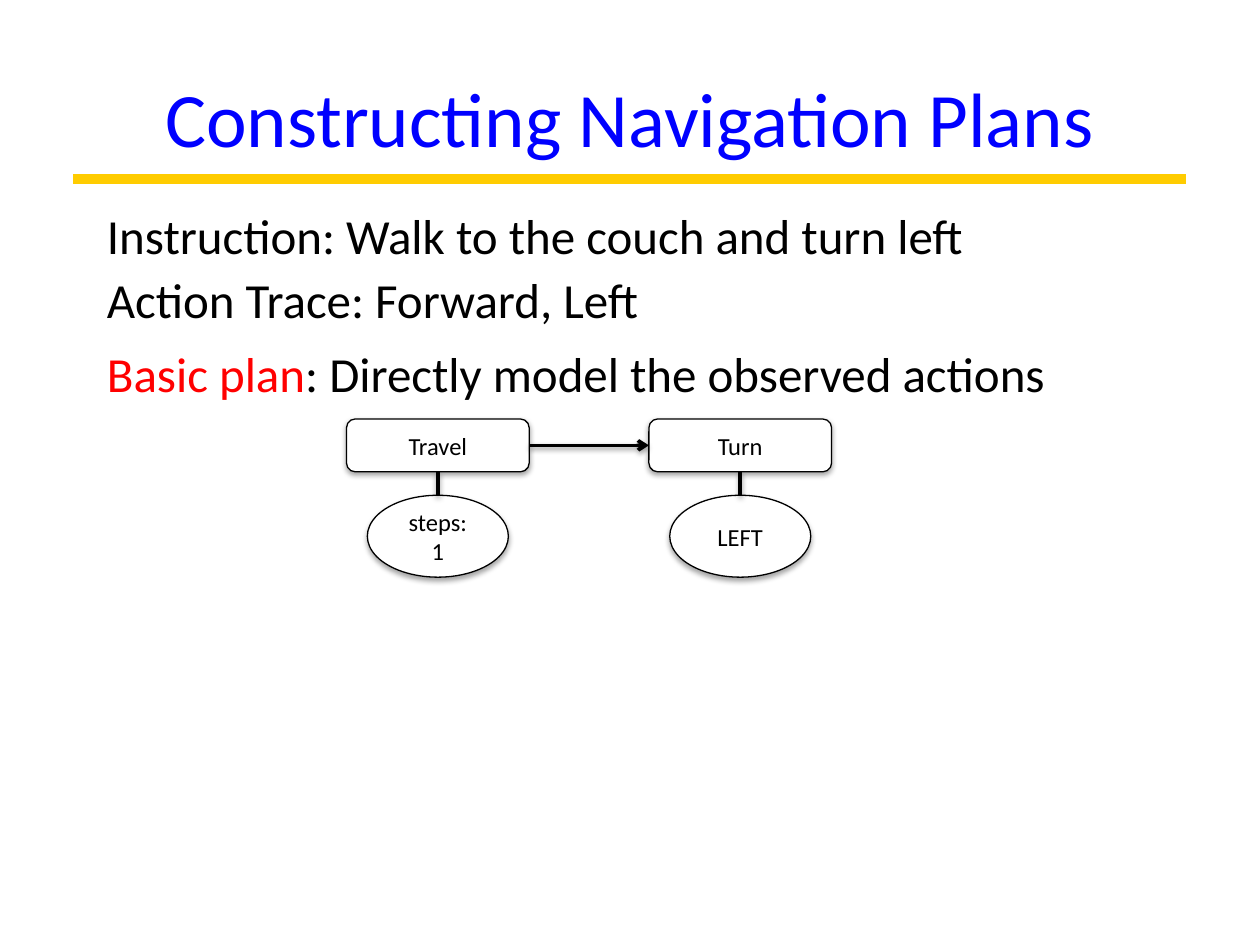
from lxml.etree import SubElement
from pptx import Presentation
from pptx.dml.color import RGBColor
from pptx.enum.shapes import MSO_CONNECTOR, MSO_SHAPE
from pptx.enum.text import MSO_ANCHOR, PP_ALIGN
from pptx.oxml.ns import qn
from pptx.util import Pt

BLACK = RGBColor(0, 0, 0)
WHITE = RGBColor(255, 255, 255)
BLUE = RGBColor(0, 0, 255)
RED = RGBColor(255, 0, 0)
GOLD = RGBColor(255, 204, 0)


def add_text(frame, runs, size, align, anchor):
    frame.word_wrap = True
    frame.vertical_anchor = anchor
    paragraph = frame.paragraphs[0]
    paragraph.alignment = align
    for words, color in runs:
        run = paragraph.add_run()
        run.text = words
        run.font.name = "Calibri"
        run.font.size = Pt(size)
        run.font.color.rgb = color


def add_shadow(effects, distance, opacity):
    shadow = SubElement(effects, qn("a:outerShdw"), blurRad=str(Pt(3.1)),
                        dist=str(Pt(distance)), dir="5400000", rotWithShape="0")
    color = SubElement(shadow, qn("a:srgbClr"), val=str(BLACK))
    SubElement(color, qn("a:alpha"), val=str(opacity * 1000))


prs = Presentation()
prs.slide_width = Pt(720)
prs.slide_height = Pt(540)
slide = prs.slides.add_slide(prs.slide_layouts[6])
shapes = slide.shapes

title = shapes.add_textbox(Pt(36), Pt(21.6), Pt(648), Pt(90))
add_text(title.text_frame, [("Constructing Navigation Plans", BLUE)], 44,
         PP_ALIGN.CENTER, MSO_ANCHOR.MIDDLE)

title_rule = shapes.add_connector(MSO_CONNECTOR.STRAIGHT, Pt(42), Pt(102.2), Pt(678), Pt(102.2))
title_rule.line.color.rgb = GOLD
title_rule.line.width = Pt(6)
SubElement(title_rule._element.spPr, qn("a:effectLst"))

statements = [
    (113.8, [("Instruction: Walk to the couch and turn left", BLACK)]),
    (150.5, [("Action Trace: Forward, Left", BLACK)]),
    (193, [("Basic plan", RED), (": Directly model the observed actions", BLACK)]),
]
for top, runs in statements:
    statement = shapes.add_textbox(Pt(54), Pt(top), Pt(612.7), Pt(41))
    add_text(statement.text_frame, runs, 28, PP_ALIGN.LEFT, MSO_ANCHOR.TOP)

actions = []
links = []
for center, action_name, argument_name in [(250.2, "Travel", "steps: 1"), (423, "Turn", "LEFT")]:
    nodes = []
    for preset, top, width, height, words in [
        (MSO_SHAPE.ROUNDED_RECTANGLE, 239.4, 104.4, 30.2, action_name),
        (MSO_SHAPE.OVAL, 283, 80.6, 46.8, argument_name),
    ]:
        node = shapes.add_shape(preset, Pt(center - width / 2), Pt(top), Pt(width), Pt(height))
        node.fill.solid()
        node.fill.fore_color.rgb = WHITE
        node.line.color.rgb = BLACK
        node.line.width = Pt(0.75)
        node.shadow.inherit = False
        add_shadow(node._element.spPr.find(qn("a:effectLst")), 1.8, 35)
        add_text(node.text_frame, [(words, BLACK)], 14, PP_ALIGN.CENTER, MSO_ANCHOR.MIDDLE)
        nodes.append(node)
    action, argument = nodes
    actions.append(action)
    links.append((action, 2, argument, 0))

travel, turn = actions
links.append((travel, 3, turn, 1))
for source, source_side, target, target_side in links:
    link = shapes.add_connector(MSO_CONNECTOR.STRAIGHT, 0, 0, 0, 0)
    link.begin_connect(source, source_side)
    link.end_connect(target, target_side)
    link.line.color.rgb = BLACK
    link.line.width = Pt(2)
    if target is turn:
        SubElement(link.line._get_or_add_ln(), qn("a:tailEnd"), type="arrow")
    add_shadow(SubElement(link._element.spPr, qn("a:effectLst")), 1.6, 38)

prs.save("out.pptx")
